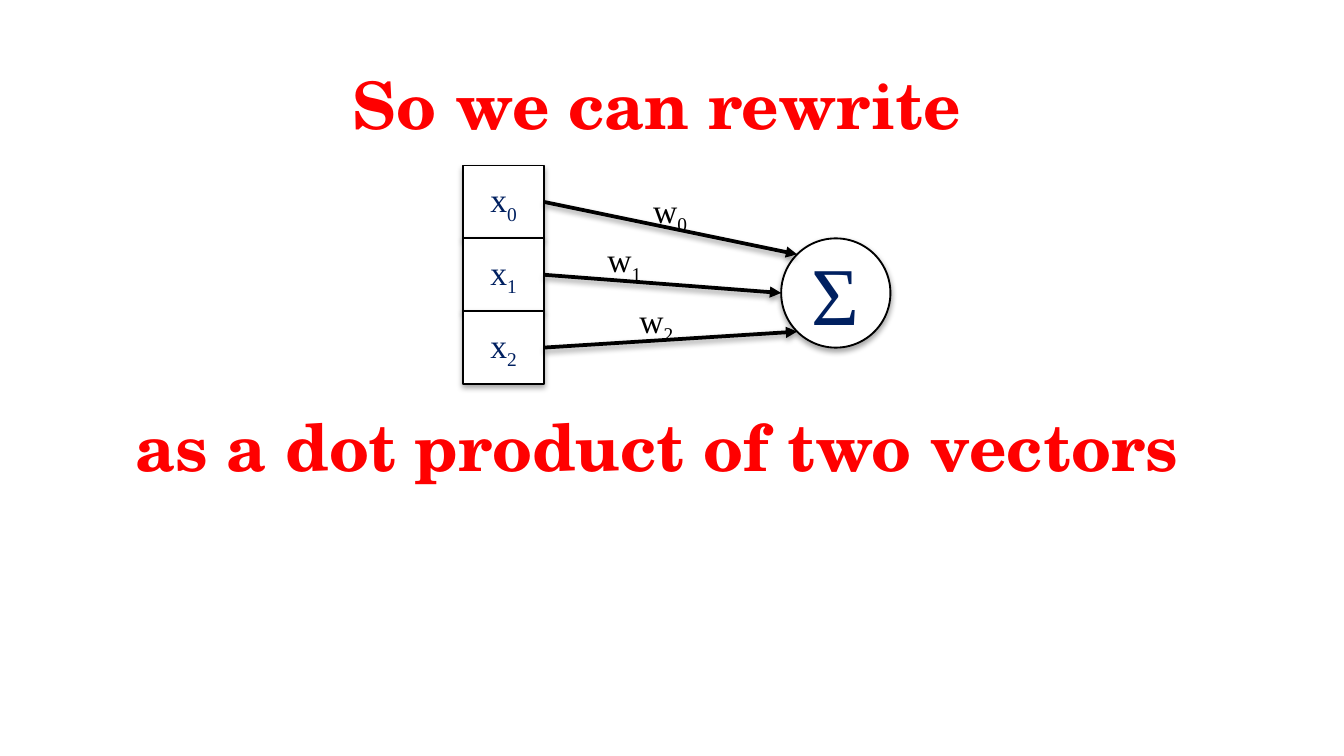
from math import cos, pi, sin

from lxml import etree
from pptx import Presentation, util as u
from pptx.dml.color import RGBColor
from pptx.enum import shapes, text
from pptx.oxml import ns

RED = RGBColor(0xFF, 0x00, 0x00)
NAVY = RGBColor(0x00, 0x20, 0x60)
BLACK = RGBColor(0x00, 0x00, 0x00)
WHITE = RGBColor(0xFF, 0xFF, 0xFF)
HEADING_FONT = "TeX Gyre Schola"
MATH_FONT = "Times New Roman"

WIDTH = u.Inches(10)
HEIGHT = WIDTH * 9 // 16
LABEL_PERCENTS = [(41.4, 8), (30.7, 30.7), (38.2, 58.3)]  # across and down the diagram


def percent_box(left, top, width, height):
    """Turn percentages of the slide into lengths."""
    return [int(share * side / 100) for share, side in
            zip((left, top, width, height), (WIDTH, HEIGHT, WIDTH, HEIGHT))]


def add_child(parent, tag, **attributes):
    return etree.SubElement(parent, ns.qn(tag), attributes)


def add_shadow(properties, opacity, distance):
    """Append a soft downward shadow, reusing an effect list if there is one."""
    effects = properties.find(ns.qn("a:effectLst"))
    if effects is None:
        effects = add_child(properties, "a:effectLst")
    shadow = add_child(effects, "a:outerShdw", blurRad=str(u.Pt(3.1)),
                       dist=str(u.Pt(distance)), dir="5400000", rotWithShape="0")
    color = add_child(shadow, "a:srgbClr", val=str(BLACK))
    add_child(color, "a:alpha", val=str(opacity * 1000))


def write_symbol(text_frame, letter, subscript="", size=18, color=BLACK):
    paragraph = text_frame.paragraphs[0]
    paragraph.text = letter
    if subscript:
        paragraph.add_run().text = subscript
        paragraph.runs[1].font._element.set("baseline", "-25000")
    for run in paragraph.runs:
        run.font.name, run.font.size = MATH_FONT, u.Pt(size)
        run.font.color.rgb = color
    return paragraph


def place_heading(shape, wording, box):
    shape.left, shape.top, shape.width, shape.height = box
    frame = shape.text_frame
    frame.word_wrap = True
    frame.vertical_anchor = text.MSO_ANCHOR.TOP
    frame.text = wording
    paragraph = frame.paragraphs[0]
    paragraph.alignment = text.PP_ALIGN.CENTER
    font = paragraph.runs[0].font
    font.name, font.size, font.bold = HEADING_FONT, u.Pt(35), True
    font.color.rgb = RED


def add_node(slide, kind, box, letter, subscript="", size=18):
    node = slide.shapes.add_shape(kind, *map(int, box))
    node.fill.solid()
    node.fill.fore_color.rgb = WHITE
    node.line.color.rgb, node.line.width = BLACK, u.Pt(1)
    node.shadow.inherit = False
    add_shadow(node._element.spPr, 35, 1.8)
    frame = node.text_frame
    frame.word_wrap = False
    frame.vertical_anchor = text.MSO_ANCHOR.MIDDLE
    paragraph = write_symbol(frame, letter, subscript, size, NAVY)
    paragraph.alignment = text.PP_ALIGN.CENTER


def add_arrow(slide, start, end):
    arrow = slide.shapes.add_connector(shapes.MSO_CONNECTOR.STRAIGHT,
                                       *map(int, (*start, *end)))
    arrow.line.color.rgb, arrow.line.width = BLACK, u.Pt(2)
    add_child(arrow.line._get_or_add_ln(), "a:tailEnd", type="triangle")
    add_shadow(arrow._element.spPr, 38, 1.6)


def add_weight_label(slide, left, top, subscript):
    label = slide.shapes.add_textbox(int(left), int(top), u.Inches(0.67), u.Inches(0.42))
    label.text_frame.word_wrap = True
    write_symbol(label.text_frame, "w", subscript)


def add_neuron(slide, left, top, width, height):
    """Stack three inputs on the left and join each to the sum on the right."""
    row = height / 3
    column = 0.19 * width
    diameter = 1.5 * row
    radius = diameter / 2
    center_x, center_y = left + width - radius, top + row + radius

    for index in range(3):
        add_node(slide, shapes.MSO_SHAPE.RECTANGLE,
                 (left, top + index * row, column, row), "x", str(index))
    add_node(slide, shapes.MSO_SHAPE.OVAL,
             (center_x - radius, center_y - radius, diameter, diameter), "Σ", size=44)

    for index in range(3):
        angle = (index - 1) * pi / 4
        add_arrow(slide, (left + column, top + (index + 0.5) * row),
                  (center_x - radius * cos(angle), center_y + radius * sin(angle)))
    for index, (across, down) in enumerate(LABEL_PERCENTS):
        add_weight_label(slide, left + across * width / 100,
                         top + down * height / 100, str(index))


def main():
    presentation = Presentation()
    presentation.slide_width, presentation.slide_height = WIDTH, HEIGHT
    slide = presentation.slides.add_slide(presentation.slide_layouts[5])
    place_heading(slide.shapes.title, "So we can rewrite",
                  percent_box(2.8, 7.6, 92.2, 13.7))
    add_neuron(slide, *percent_box(34.45, 21.9, 31.8, 28.9))
    place_heading(slide.shapes.add_textbox(0, 0, 0, 0), "as a dot product of two vectors",
                  percent_box(2.8, 52.8, 92.2, 13.7))
    presentation.save("out.pptx")


if __name__ == "__main__":
    main()
